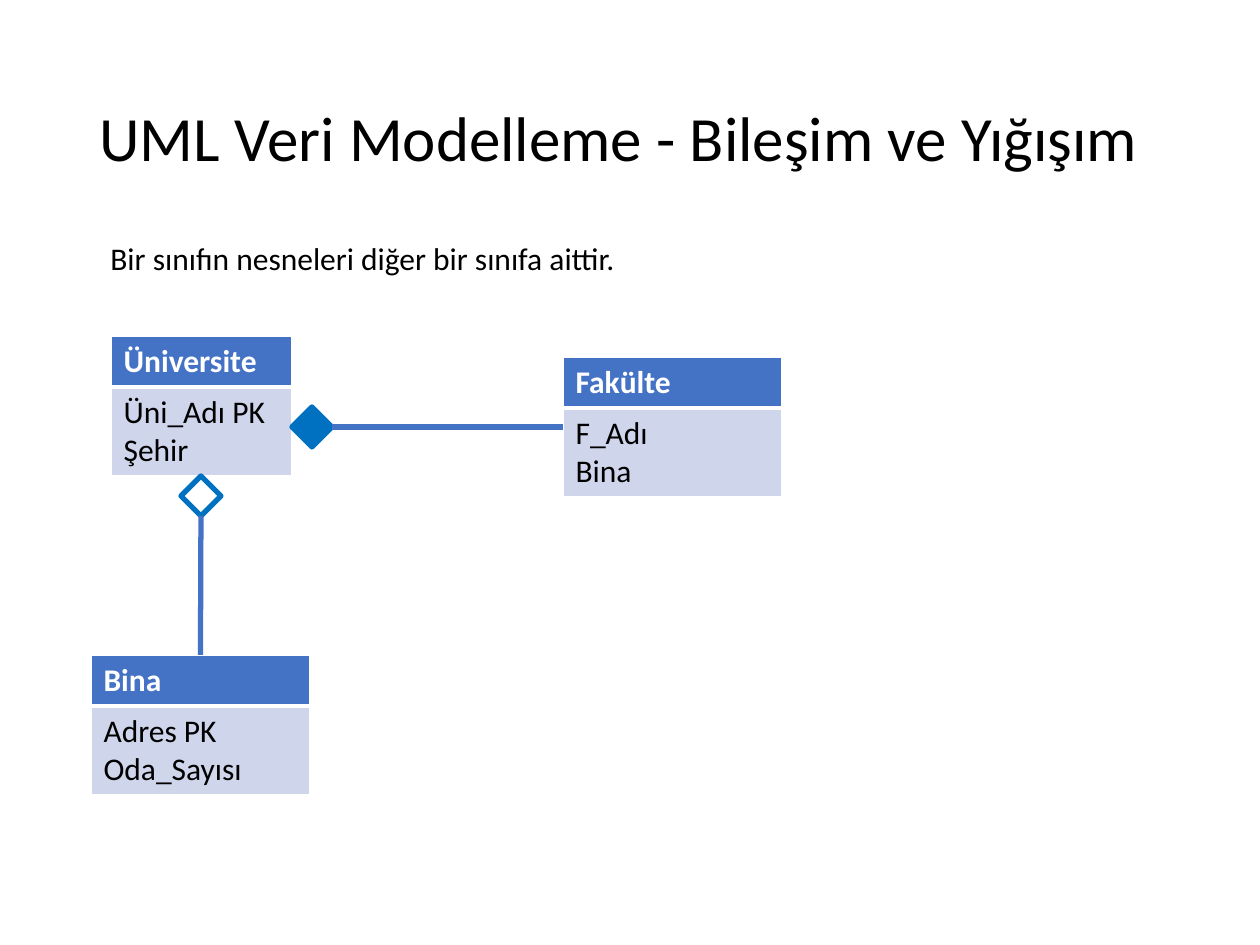
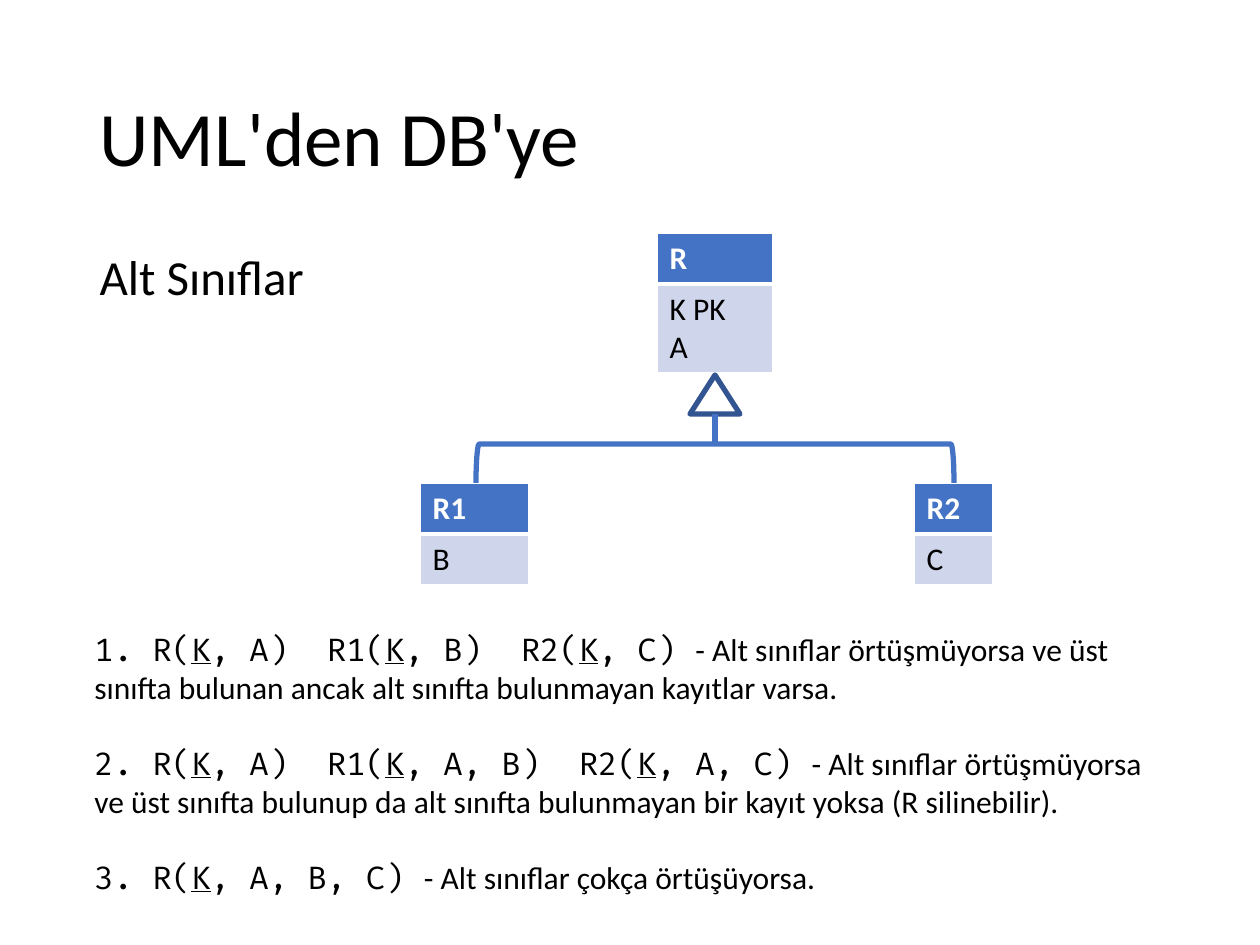
from lxml import etree
from pptx import Presentation
from pptx.dml.color import RGBColor
from pptx.enum.shapes import MSO_CONNECTOR, MSO_SHAPE
from pptx.enum.text import MSO_ANCHOR, MSO_AUTO_SIZE, PP_ALIGN
from pptx.oxml.ns import qn
from pptx.util import Emu, Pt

STRAIGHT = MSO_CONNECTOR.STRAIGHT
DIAMOND = MSO_SHAPE.DIAMOND
TRIANGLE = MSO_SHAPE.ISOSCELES_TRIANGLE
BRACKET = MSO_SHAPE.LEFT_BRACKET
MIDDLE, LEFT = MSO_ANCHOR.MIDDLE, PP_ALIGN.LEFT
NO_FIT = MSO_AUTO_SIZE.NONE

BLACK = RGBColor(0x00, 0x00, 0x00)
WHITE = RGBColor(0xFF, 0xFF, 0xFF)
BLUE = RGBColor(0x44, 0x72, 0xC4)
PALE = RGBColor(0xCF, 0xD5, 0xEA)
BRIGHT = RGBColor(0x00, 0x70, 0xC0)
NAVY = RGBColor(0x32, 0x54, 0x91)

SANS, MONO = "Calibri", "Fira Code"
PER_INCH = 126
ROW, LINE = 51, 38
STROKE = Pt(3)
TITLE_BOX = (87, 50, 1086, 183)
TITLE_ONLY, TITLE_BODY = 5, 1

RULES = [
    ("1. R(K, A)  R1(K, B)  R2(K, C) ",
     "- Alt sınıflar örtüşmüyorsa ve üst sınıfta bulunan ancak alt sınıfta "
     "bulunmayan kayıtlar varsa."),
    ("2. R(K, A)  R1(K, A, B)  R2(K, A, C) ",
     "- Alt sınıflar örtüşmüyorsa ve üst sınıfta bulunup da alt sınıfta "
     "bulunmayan bir kayıt yoksa (R silinebilir)."),
    ("3. R(K, A, B, C) ", "- Alt sınıflar çokça örtüşüyorsa."),
]


def px(n):
    return Emu(round(n * 914400 / PER_INCH))


def place(shape, box):
    shape.left, shape.top, shape.width, shape.height = map(px, box)


def style(para, size, color=BLACK, bold=False):
    font = para.font
    font.name, font.size, font.bold = SANS, Pt(size), bold
    font.color.rgb = color


def add_slide(deck, layout, title, size):
    slide = deck.slides.add_slide(deck.slide_layouts[layout])
    head = slide.shapes.title
    place(head, TITLE_BOX)
    frame = head.text_frame
    frame.text = title
    frame.vertical_anchor, frame.auto_size = MIDDLE, NO_FIT
    para = frame.paragraphs[0]
    para.alignment, para.line_spacing = LEFT, 0.9
    style(para, size)
    return slide


def edge(cell, top, bottom):
    """Draw white cell borders; top and bottom widths are in points."""
    props = cell._tc.get_or_add_tcPr()
    for side, width in (("L", 1), ("R", 1), ("T", top), ("B", bottom)):
        line = etree.SubElement(props, qn(f"a:ln{side}"), w=str(Pt(width)))
        fill = etree.SubElement(line, qn("a:solidFill"))
        etree.SubElement(fill, qn("a:srgbClr"), val=str(WHITE))


def add_class(slide, left, top, width, name, *fields):
    """Add a UML class: its name above its fields."""
    body = ROW + LINE * (len(fields) - 1)
    box = map(px, (left, top, width, ROW + body))
    frame = slide.shapes.add_table(2, 1, *box)
    table = frame.table
    looks = [(name, ROW, BLUE, WHITE, True, 1, 3),
             ("\n".join(fields), body, PALE, BLACK, False, 3, 1)]
    for i, (text, height, fill, ink, bold, above, below) in enumerate(looks):
        table.rows[i].height = px(height)
        cell = table.cell(i, 0)
        cell.text = text
        edge(cell, above, below)
        cell.fill.solid()
        cell.fill.fore_color.rgb = fill
        for para in cell.text_frame.paragraphs:
            style(para, 18, ink, bold)
    return frame


def add_mark(slide, kind, box, line, fill=None):
    mark = slide.shapes.add_shape(kind, *map(px, box))
    mark.shadow.inherit = False
    mark.line.color.rgb, mark.line.width = line, STROKE
    if fill is None:
        mark.fill.background()
    else:
        mark.fill.solid()
        mark.fill.fore_color.rgb = fill
    return mark


def add_line(slide, start=(0, 0), end=(0, 0)):
    line = slide.shapes.add_connector(STRAIGHT, *map(px, (*start, *end)))
    line.line.color.rgb, line.line.width = BLUE, STROKE
    etree.SubElement(line._element.spPr, qn("a:effectLst"))
    return line


def link(slide, mark, out, table, into):
    line = add_line(slide)
    line.begin_connect(mark, out)
    line.end_connect(table, into)


def add_text(slide, box):
    frame = slide.shapes.add_textbox(*map(px, box)).text_frame
    frame.word_wrap = True
    return frame


def add_rules(slide, box):
    """Write each schema in code type, keys underlined, then its use."""
    frame = add_text(slide, box)
    for i, (code, use) in enumerate(RULES):
        para = frame.paragraphs[0] if i == 0 else frame.add_paragraph()
        style(para, 18)
        para.space_before = Pt(22 if i else 0)
        for j, part in enumerate(code.split("K")):
            if j:
                key = para.add_run()
                key.text, key.font.name, key.font.underline = "K", MONO, True
            run = para.add_run()
            run.text, run.font.name = part, MONO
        para.add_run().text = use


def add_lead(slide, text, box):
    body = slide.placeholders[1]
    place(body, box)
    frame = body.text_frame
    frame.text, frame.auto_size = text, NO_FIT
    para = frame.paragraphs[0]
    para.line_spacing, para.space_before = 0.8, Pt(10)
    style(para, 28)
    props = para._p.get_or_add_pPr()
    props.set("marL", "0")
    props.set("indent", "0")
    etree.SubElement(props, qn("a:buNone"))


def add_tree(slide, left, top):
    """Draw class R above its subclasses R1 and R2."""
    mid = left + 295
    fork, drop, span = top + 211, 39, 478
    add_class(slide, mid - 58, top, 116, "R", "K PK", "A")
    add_class(slide, left, fork + drop, 109, "R1", "B")
    add_class(slide, left + 494, fork + drop, 79, "R2", "C")
    add_mark(slide, TRIANGLE, (mid - 25, top + 142, 50, 39), NAVY)
    turned = (mid - drop / 2, fork + (drop - span) / 2, drop, span)
    add_mark(slide, BRACKET, turned, BLUE).rotation = 90
    add_line(slide, (mid, top + 181), (mid, fork))


def add_parts(slide, left, top):
    """Draw a university composed of faculties and sharing buildings."""
    add_class(slide, left + 20, top, 181, "Üniversite", "Üni_Adı PK", "Şehir")
    school = add_class(slide, left + 472, top + 21, 219,
                       "Fakülte", "F_Adı", "Bina")
    house = add_class(slide, left, top + 319, 219,
                      "Bina", "Adres PK", "Oda_Sayısı")
    owned = add_mark(slide, DIAMOND, (left + 201, top + 71, 40, 40),
                     BRIGHT, BRIGHT)
    shared = add_mark(slide, DIAMOND, (left + 90, top + 140, 40, 40), BRIGHT)
    link(slide, owned, 3, school, 1)
    link(slide, shared, 2, house, 0)


def main():
    deck = Presentation()
    deck.slide_width, deck.slide_height = px(1260), px(945)

    slide = add_slide(deck, TITLE_ONLY,
                      "UML Veri Modelleme - Bileşim ve Yığışım", 36)
    intro = add_text(slide, (98, 233, 532, 51))
    intro.text = "Bir sınıfın nesneleri diğer bir sınıfa aittir."
    style(intro.paragraphs[0], 18)
    add_parts(slide, 91, 336)

    slide = add_slide(deck, TITLE_BODY, "UML'den DB'ye", 44)
    add_lead(slide, "Alt Sınıflar", (87, 252, 1086, 63))
    add_rules(slide, (82, 624, 1091, 280))
    add_tree(slide, 420, 233)

    deck.save("out.pptx")


if __name__ == "__main__":
    main()
